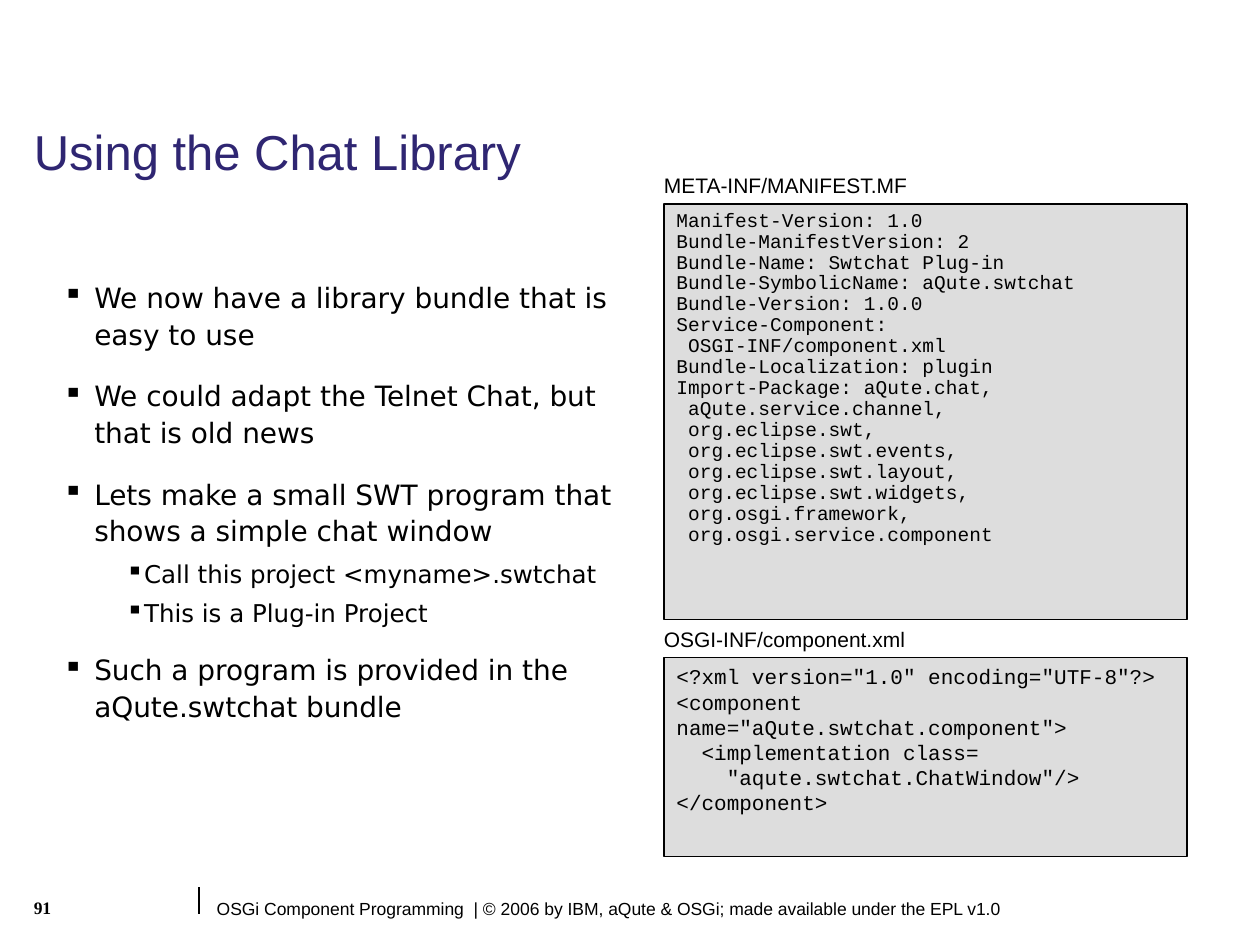
from dataclasses import dataclass

from lxml.etree import SubElement
from pptx import Presentation
from pptx.dml.color import RGBColor
from pptx.enum.shapes import MSO_CONNECTOR, MSO_SHAPE
from pptx.enum.text import MSO_ANCHOR, PP_ALIGN
from pptx.oxml.ns import qn
from pptx.util import Inches, Pt


@dataclass(frozen=True)
class Theme:
    ink: RGBColor = RGBColor(0x00, 0x00, 0x00)
    head: RGBColor = RGBColor(0x2F, 0x26, 0x72)
    panel: RGBColor = RGBColor(0xDD, 0xDD, 0xDD)
    sans: str = "Arial"
    body: str = "DejaVu Sans"
    mono: str = "Courier New"
    serif: str = "Times New Roman"
    title: float = 28
    label: float = 12
    code: float = 12
    dense: float = 11.1
    foot: float = 10
    rule: float = 0.75


THEME = Theme()

# Text size, line spacing, space before, space after, left margin, hang
LEVELS = [(16, 1.1, 10, 4, 0.25, 0.25), (14, 0.9, 4.4, 2.6, 0.62, 0.12)]

POINTS = [
    (0, "We now have a library bundle that is easy to use"),
    (0, "We could adapt the Telnet Chat, but that is old news"),
    (0, "Lets make a small SWT program that shows a simple chat window"),
    (1, "Call this project <myname>.swtchat"),
    (1, "This is a Plug-in Project"),
    (0, "Such a program is provided in the aQute.swtchat bundle"),
]

MANIFEST = """Manifest-Version: 1.0
Bundle-ManifestVersion: 2
Bundle-Name: Swtchat Plug-in
Bundle-SymbolicName: aQute.swtchat
Bundle-Version: 1.0.0
Service-Component:
 OSGI-INF/component.xml
Bundle-Localization: plugin
Import-Package: aQute.chat,
 aQute.service.channel,
 org.eclipse.swt,
 org.eclipse.swt.events,
 org.eclipse.swt.layout,
 org.eclipse.swt.widgets,
 org.osgi.framework,
 org.osgi.service.component"""

COMPONENT = """<?xml version="1.0" encoding="UTF-8"?>
<component name="aQute.swtchat.component">
  <implementation class=
    "aqute.swtchat.ChatWindow"/>
</component>"""

FOOTER = ("OSGi Component Programming  | © 2006 by IBM, aQute & OSGi; "
          "made available under the EPL v1.0")


def style(para, face, size, color=THEME.ink, bold=False):
    font = para.font
    font.name, font.size, font.bold = face, Pt(size), bold
    font.color.rgb = color


def add_text(slide, box, text, face, size, color=THEME.ink, bold=False, wrap=True):
    frame = slide.shapes.add_textbox(*map(Inches, box)).text_frame
    frame.word_wrap = wrap
    para = frame.paragraphs[0]
    para.text = text
    style(para, face, size, color, bold)
    return frame


def add_title(slide, box):
    frame = add_text(slide, box, "Using the Chat Library",
                     THEME.sans, THEME.title, THEME.head)
    frame.vertical_anchor = MSO_ANCHOR.MIDDLE
    frame.paragraphs[0].line_spacing = 0.9


def add_bullet(para, left, hang):
    props = para._p.get_or_add_pPr()
    props.set("marL", str(Inches(left)))
    props.set("indent", str(-Inches(hang)))
    tint = SubElement(props, qn("a:buClr"))
    SubElement(tint, qn("a:srgbClr")).set("val", str(THEME.ink))
    SubElement(props, qn("a:buChar")).set("char", "▪")


def add_points(slide, box):
    frame = slide.shapes.add_textbox(*map(Inches, box)).text_frame
    frame.word_wrap = True
    for i, (level, text) in enumerate(POINTS):
        size, lines, before, after, left, hang = LEVELS[level]
        para = frame.add_paragraph() if i else frame.paragraphs[0]
        para.text, para.level = text, level
        add_bullet(para, left, hang)
        para.line_spacing = lines
        para.space_before = Pt(before if i else 0)
        para.space_after = Pt(after)
        style(para, THEME.body, size)


def add_code(slide, box, name, code, size, lines):
    """Place a file name above a panel that holds the file's text."""
    left, top, width, height = box
    strip, inset = 0.3, 0.1
    add_text(slide, (left - inset, top, 2.15, strip), name,
             THEME.sans, THEME.label, wrap=False)
    panel = slide.shapes.add_shape(
        MSO_SHAPE.RECTANGLE,
        *map(Inches, (left, top + strip, width, height - strip)))
    panel.shadow.inherit = False
    panel.fill.solid()
    panel.fill.fore_color.rgb = THEME.panel
    panel.line.color.rgb = THEME.ink
    panel.line.width = Pt(THEME.rule)
    frame = panel.text_frame
    frame.word_wrap = True
    frame.vertical_anchor = MSO_ANCHOR.TOP
    frame.text = code
    for para in frame.paragraphs:
        para.alignment = PP_ALIGN.LEFT
        para.line_spacing = lines
        style(para, THEME.mono, size)


def add_footer(slide, box):
    left, top, width, height = box
    split = 1.58
    # Page number
    add_text(slide, (left, top + 0.03, 1.1, 0.35), "91",
             THEME.serif, THEME.foot, bold=True)
    # Divider
    rule = slide.shapes.add_connector(
        MSO_CONNECTOR.STRAIGHT,
        *map(Inches, (split, top, split, top + 0.21)))
    rule.line.color.rgb = THEME.ink
    rule.line.width = Pt(THEME.rule)
    SubElement(rule._element.spPr, qn("a:effectLst"))
    # Copyright line
    frame = add_text(slide, (split, top + 0.04, left + width - split, 0.27),
                     FOOTER, THEME.sans, THEME.foot)
    frame.margin_left = Inches(0.14)


def main():
    deck = Presentation()
    deck.slide_width, deck.slide_height = Inches(10), Inches(7.5)
    slide = deck.slides.add_slide(deck.slide_layouts[6])
    add_title(slide, (0.17, 0.95, 9.02, 0.55))
    add_points(slide, (0.4, 2.15, 4.7, 4.32))
    add_code(slide, (5.27, 1.32, 4.15, 3.6), "META-INF/MANIFEST.MF",
             MANIFEST, THEME.dense, 0.9)
    add_code(slide, (5.27, 4.92, 4.15, 1.88), "OSGI-INF/component.xml",
             COMPONENT, THEME.code, 1.0)
    add_footer(slide, (0.17, 7.04, 9.83, 0.38))
    deck.save("out.pptx")


if __name__ == "__main__":
    main()
